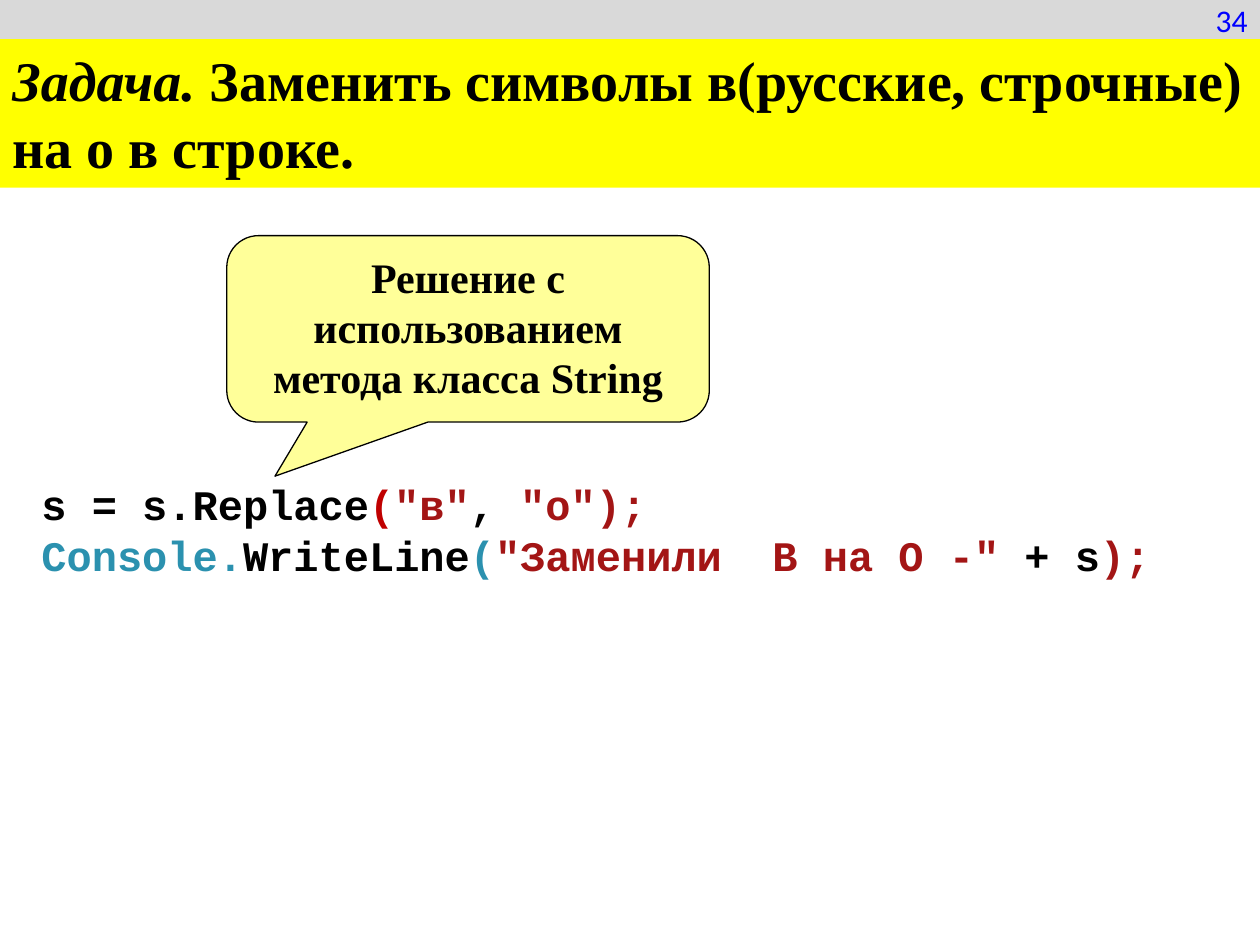
from dataclasses import dataclass
from typing import NamedTuple

from pptx import Presentation
from pptx import util as u
from pptx.dml.color import RGBColor
from pptx.enum import shapes, text

COLS, ROWS = 100, 75


@dataclass(frozen=True)
class Theme:
    bar: str = "D9D9D9"
    band: str = "FFFF00"
    note: str = "FFFF99"
    ink: str = "000000"
    page: str = "0000FF"
    mark: str = "C00000"
    quote: str = "A31515"
    kind: str = "2B91AF"
    sans: str = "Calibri"
    serif: str = "Times New Roman"
    mono: str = "Courier New"
    small: int = 18
    body: int = 24
    head: int = 32


class Run(NamedTuple):
    words: str
    color: str = Theme.ink
    italic: bool = False


class Area(NamedTuple):
    col: float
    row: float
    cols: float
    rows: float


THEME = Theme()
Lines = list[list[Run]]
Form = shapes.MSO_SHAPE
Align = text.PP_ALIGN
Anchor = text.MSO_ANCHOR

TITLE: Lines = [[
    Run("Задача. ", italic=True),
    Run("Заменить символы в(русские, строчные) на о в строке."),
]]
CODE: Lines = [
    [
        Run("s = s.Replace"),
        Run("(", THEME.mark),
        Run('"в"', THEME.quote),
        Run(", "),
        Run('"о");', THEME.quote),
    ],
    [
        Run("Console.", THEME.kind),
        Run("WriteLine"),
        Run("(", THEME.kind),
        Run('"Заменили  В на О -" ', THEME.quote),
        Run("+ s"),
        Run(");", THEME.quote),
    ],
]


def place(deck, area: Area) -> tuple[int, int, int, int]:
    wide, high = deck.slide_width / COLS, deck.slide_height / ROWS
    return (round(area.col * wide), round(area.row * high),
            round(area.cols * wide), round(area.rows * high))


def draw(deck, slide, form: Form, area: Area, fill: str,
         line: str | None = None, width: float = 0):
    shape = slide.shapes.add_shape(form, *place(deck, area))
    shape.shadow.inherit = False
    shape.fill.solid()
    shape.fill.fore_color.rgb = RGBColor.from_string(fill)
    if line:
        shape.line.color.rgb = RGBColor.from_string(line)
        shape.line.width = u.Pt(width)
    else:
        shape.line.fill.background()
    return shape


def write(shape, lines: Lines, *, font: str, size: int, bold: bool = True,
          align: Align = Align.LEFT, anchor: Anchor = Anchor.TOP) -> None:
    frame = shape.text_frame
    frame.word_wrap = True
    frame.vertical_anchor = anchor
    for index, line in enumerate(lines):
        para = frame.add_paragraph() if index else frame.paragraphs[0]
        para.alignment = align
        for part in line:
            run = para.add_run()
            run.text = part.words
            run.font.name = font
            run.font.size = u.Pt(size)
            run.font.bold = bold
            run.font.italic = part.italic
            run.font.color.rgb = RGBColor.from_string(part.color)


def main() -> None:
    deck = Presentation()
    deck.slide_width, deck.slide_height = u.Inches(10), u.Inches(7.5)
    slide = deck.slides.add_slide(deck.slide_layouts[6])

    bar = draw(deck, slide, Form.RECTANGLE, Area(0, 0, COLS, 3.1),
               THEME.bar, THEME.bar, 2)
    write(bar, [[Run("34", THEME.page)]], font=THEME.sans, size=THEME.small,
          bold=False, align=Align.RIGHT, anchor=Anchor.MIDDLE)

    band = draw(deck, slide, Form.RECTANGLE, Area(0, 3.1, COLS, 11.8),
                THEME.band)
    write(band, TITLE, font=THEME.serif, size=THEME.head)

    code = slide.shapes.add_textbox(*place(deck, Area(2.3, 37.5, 92.2, 9.1)))
    write(code, CODE, font=THEME.mono, size=THEME.body)

    note = draw(deck, slide, Form.ROUNDED_RECTANGULAR_CALLOUT,
                Area(18, 18.7, 38.3, 14.8), THEME.note, THEME.ink, 0.75)
    for index, value in enumerate((-0.4, 0.79, 0.17)):
        note.adjustments[index] = value
    write(note, [[Run("Решение с использованием метода класса String")]],
          font=THEME.serif, size=THEME.body, align=Align.CENTER)

    deck.save("out.pptx")


if __name__ == "__main__":
    main()
